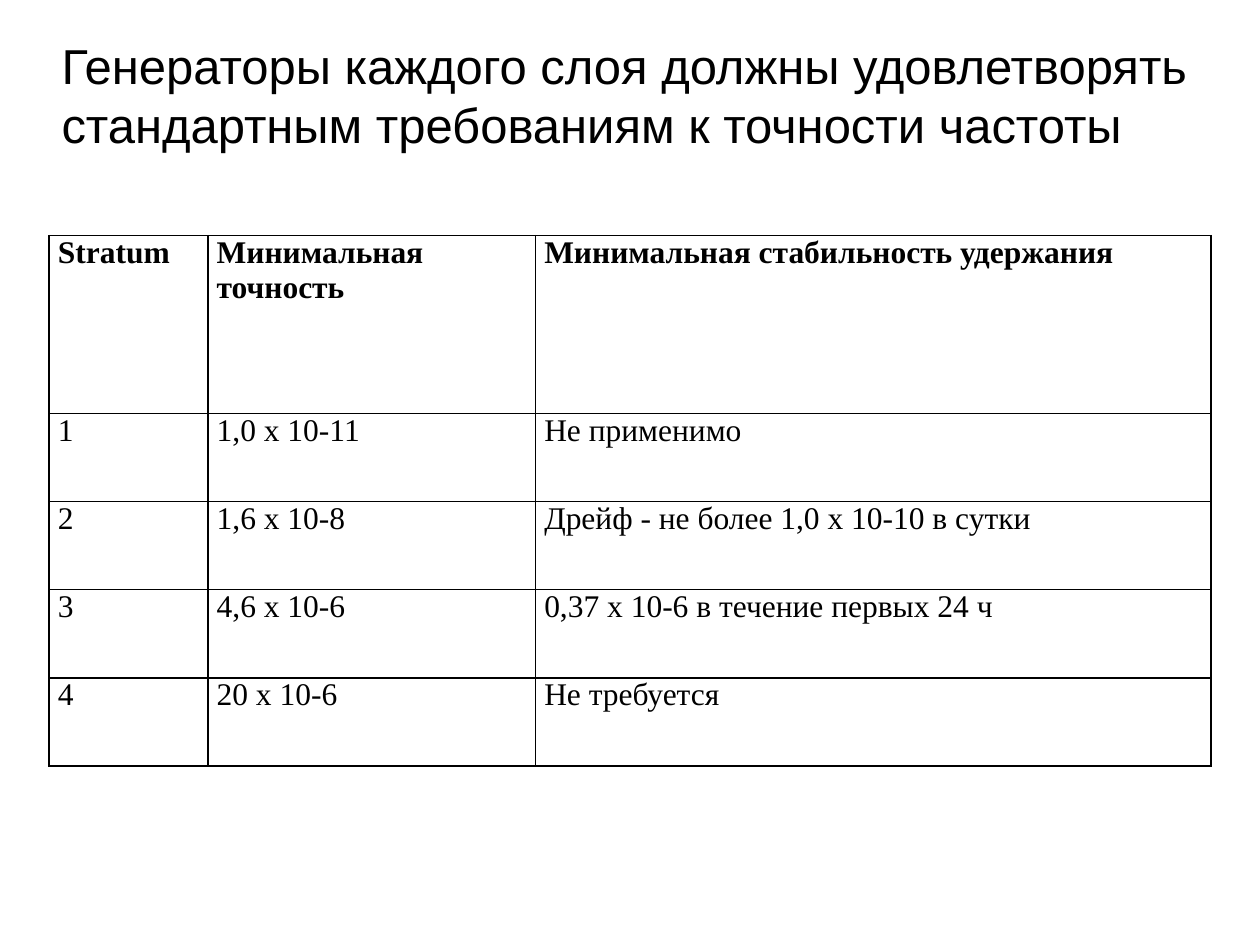
from lxml import etree
from pptx import Presentation
from pptx import util as u
from pptx.dml.color import RGBColor
from pptx.enum import text
from pptx.oxml import ns

COLORS = {"ink": "000000", "paper": "FFFFFF"}

TITLE = [
    "Генераторы каждого слоя должны удовлетворять",
    "стандартным требованиям к точности частоты",
]
ROWS = [
    ["Stratum", "Минимальная точность", "Минимальная стабильность удержания"],
    ["1", "1,0 х 10-11", "Не применимо"],
    ["2", "1,6 х 10-8", "Дрейф - не более 1,0 х 10-10 в сутки"],
    ["3", "4,6 х 10-6", "0,37 х 10-6 в течение первых 24 ч"],
    ["4", "20 х 10-6", "Не требуется"],
]
COL_WIDTHS = [1.26, 2.6, 5.36]
HEADER_HEIGHT, ROW_HEIGHT = 1.41, 0.7


def style_text(tf, font, size, bold=False):
    for p in tf.paragraphs:
        for r in p.runs:
            r.font.name = font
            r.font.size = u.Pt(size)
            r.font.bold = bold
            r.font.color.rgb = RGBColor.from_string(COLORS["ink"])


def add_borders(cell, width=1):
    tcPr = cell._tc.get_or_add_tcPr()
    for side in ("lnL", "lnR", "lnT", "lnB"):
        ln = etree.SubElement(tcPr, ns.qn(f"a:{side}"), w=str(u.Pt(width)))
        fill = etree.SubElement(ln, ns.qn("a:solidFill"))
        etree.SubElement(fill, ns.qn("a:srgbClr"), val=COLORS["ink"])


def fill_cell(cell, value, bold):
    cell.margin_left = cell.margin_right = u.Inches(0.07)
    cell.margin_top = cell.margin_bottom = 0
    # Borders must come before the fill in the cell properties
    add_borders(cell)
    cell.fill.solid()
    cell.fill.fore_color.rgb = RGBColor.from_string(COLORS["paper"])
    cell.text_frame.text = value
    style_text(cell.text_frame, "Times New Roman", 18, bold)


def add_requirements_table(s):
    heights = [HEADER_HEIGHT] + [ROW_HEIGHT] * (len(ROWS) - 1)
    table = s.shapes.add_table(
        len(ROWS), len(COL_WIDTHS), u.Inches(0.39), u.Inches(1.87),
        u.Inches(sum(COL_WIDTHS)), u.Inches(sum(heights))).table
    for col, width in zip(table.columns, COL_WIDTHS):
        col.width = u.Inches(width)
    for i, (row, height) in enumerate(zip(table.rows, heights)):
        row.height = u.Inches(height)
        for cell, value in zip(row.cells, ROWS[i]):
            fill_cell(cell, value, bold=i == 0)


def add_title(s):
    sp = s.shapes.add_textbox(
        u.Inches(0.39), u.Inches(0.23), u.Inches(9.36), u.Inches(1.04))
    tf = sp.text_frame
    tf.word_wrap = False
    tf.auto_size = text.MSO_AUTO_SIZE.SHAPE_TO_FIT_TEXT
    tf.vertical_anchor = text.MSO_ANCHOR.MIDDLE
    tf.text = "\n".join(TITLE)
    style_text(tf, "Arial", 28)


def main():
    prs = Presentation()
    prs.slide_width, prs.slide_height = u.Inches(10), u.Inches(7.5)
    s = prs.slides.add_slide(prs.slide_layouts[6])

    # Frequency accuracy requirements per stratum
    add_requirements_table(s)
    # Heading
    add_title(s)

    prs.save("out.pptx")


if __name__ == "__main__":
    main()
